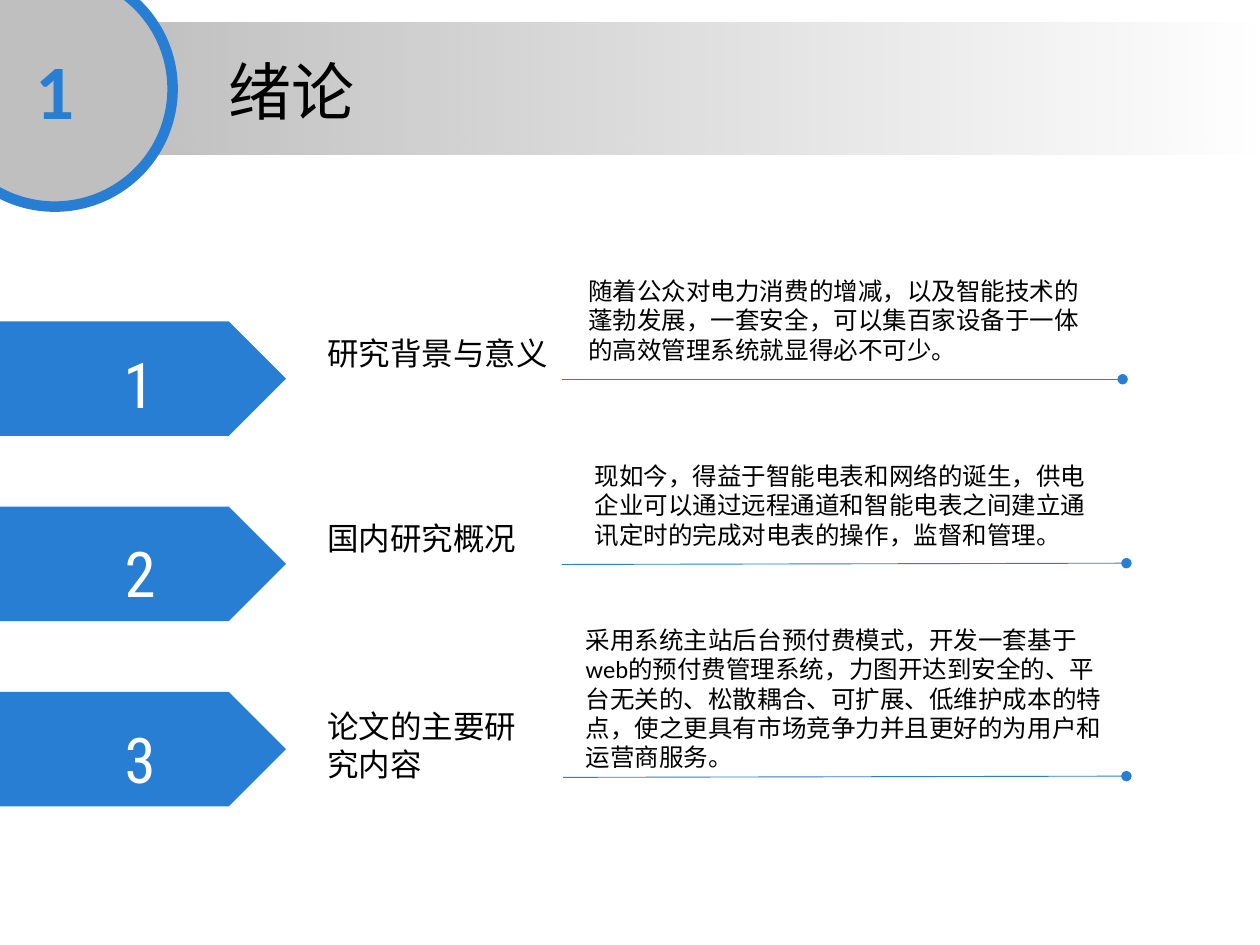
import pptx
import pptx.util
import pptx.dml.color
import pptx.enum.shapes
import pptx.enum.text
import pptx.oxml
import pptx.oxml.ns
import lxml.etree

Inches = pptx.util.Inches
RGBColor = pptx.dml.color.RGBColor
Shape = pptx.enum.shapes.MSO_SHAPE
Align = pptx.enum.text.PP_ALIGN
Anchor = pptx.enum.text.MSO_ANCHOR
qn = pptx.oxml.ns.qn

BLUE = RGBColor(0x28, 0x7E, 0xD3)
GREY = RGBColor(0xBF, 0xBF, 0xBF)
WHITE = RGBColor(0xFF, 0xFF, 0xFF)
BLACK = RGBColor(0x00, 0x00, 0x00)

ROW_TOP, ROW_PITCH = 2.55, 1.47
SECTIONS = [
    ("研究背景与意义", (2.5, 2.6, 1.95, 0.42), (0.88, 2.69, 0.39, 0.71),
     "随着公众对电力消费的增减，以及智能技术的蓬勃发展，一套安全，可以集百家设备于一体的高效管理系统就显得必不可少。",
     (4.57, 2.14, 4.27, 0.8), (4.46, 3.01, 8.91, 3.01)),
    ("国内研究概况", (2.5, 4.07, 1.7, 0.42), (0.89, 4.19, 0.46, 0.71),
     "现如今，得益于智能电表和网络的诞生，供电企业可以通过远程通道和智能电表之间建立通讯定时的完成对电表的操作，监督和管理。",
     (4.62, 3.61, 4.22, 0.8), (4.46, 4.48, 8.94, 4.47)),
    ("论文的主要研究内容", (2.5, 5.56, 1.9, 0.72), (0.89, 5.67, 0.47, 0.71),
     "采用系统主站后台预付费模式，开发一套基于web的预付费管理系统，力图开达到安全的、平台无关的、松散耦合、"
     "可扩展、低维护成本的特点，使之更具有市场竞争力并且更好的为用户和运营商服务。",
     (4.55, 4.91, 4.39, 1.27), (4.47, 6.17, 8.94, 6.16)),
]


class SlideBuilder:
    heading_font = "Noto Sans CJK SC"
    label_font = "DejaVu Sans"
    number_font = "Roboto Condensed"
    body_font = "Calibri"

    def __init__(self, slide):
        self.slide = slide

    def run(self, frame, text, font, size, color, bold=False, align=Align.LEFT):
        paragraph = frame.paragraphs[0]
        paragraph.alignment = align
        run = paragraph.add_run()
        run.text = text
        run.font.name = font
        run.font.size = pptx.util.Pt(size)
        run.font.bold = bold
        run.font.color.rgb = color

    def title(self, text, box):
        heading = self.slide.shapes.title
        heading.left, heading.top, heading.width, heading.height = map(Inches, box)
        heading.element.getparent().append(heading.element)
        frame = heading.text_frame
        frame.auto_size = pptx.enum.text.MSO_AUTO_SIZE.NONE
        frame.vertical_anchor = Anchor.MIDDLE
        self.run(frame, text, self.heading_font, 36, BLACK)

    def text(self, text, box, font, size, color=BLACK, wrap=True):
        frame = self.slide.shapes.add_textbox(*map(Inches, box)).text_frame
        frame.word_wrap = wrap
        self.run(frame, text, font, size, color)

    def shape(self, kind, box, fill):
        shape = self.slide.shapes.add_shape(kind, *map(Inches, box))
        shape.shadow.inherit = False
        shape.fill.solid()
        shape.fill.fore_color.rgb = fill
        shape.line.fill.background()
        return shape

    def fading_band(self, box, color):
        band = self.shape(Shape.RECTANGLE, box, color)
        band.fill.gradient()
        band.fill.gradient_angle = 0
        for stop, position in zip(band.fill.gradient_stops, (0, 1)):
            stop.color.rgb = color
            stop.position = position
        end_color = band.element.spPr.findall(".//" + qn("a:srgbClr"))[-1]
        lxml.etree.SubElement(end_color, qn("a:alpha"), val="0")

    def badge(self, text, box):
        circle = self.shape(Shape.OVAL, box, GREY)
        circle.line.color.rgb = BLUE
        circle.line.width = pptx.util.Pt(6)
        circle.text_frame.vertical_anchor = Anchor.MIDDLE
        self.run(circle.text_frame, text, self.body_font, 44, BLUE, True, Align.CENTER)

    def dotted_end_line(self, ends):
        line = self.slide.shapes.add_connector(
            pptx.enum.shapes.MSO_CONNECTOR.STRAIGHT, *map(Inches, ends))
        line.line.color.rgb = BLUE
        line.line.width = pptx.util.Pt(0.5)
        properties = line.element.spPr
        lxml.etree.SubElement(properties.find(qn("a:ln")), qn("a:tailEnd"), type="oval")
        lxml.etree.SubElement(properties, qn("a:effectLst"))


def main():
    deck = pptx.Presentation()
    deck.slide_width, deck.slide_height = Inches(10), Inches(7.5)
    builder = SlideBuilder(deck.slides.add_slide(deck.slide_layouts[5]))

    builder.fading_band((0.86, 0.18, 9.14, 1.05), GREY)
    builder.badge("1", (-0.5, -0.23, 1.87, 1.87))
    builder.title("绪论", (1.71, 0.35, 6.19, 0.74))

    for index, (label, label_box, number_box, summary, summary_box, rule) in enumerate(SECTIONS):
        arrow_top = ROW_TOP + index * ROW_PITCH
        builder.text(label, label_box, builder.label_font, 18, wrap=index == 2)
        builder.shape(Shape.PENTAGON, (0, arrow_top, 2.27, 0.91), BLUE)
        builder.text(str(index + 1), number_box, builder.number_font, 36, WHITE, wrap=False)
        builder.dotted_end_line(rule)
        builder.text(summary, summary_box, builder.body_font, 14)

    deck.save("out.pptx")


if __name__ == "__main__":
    main()
